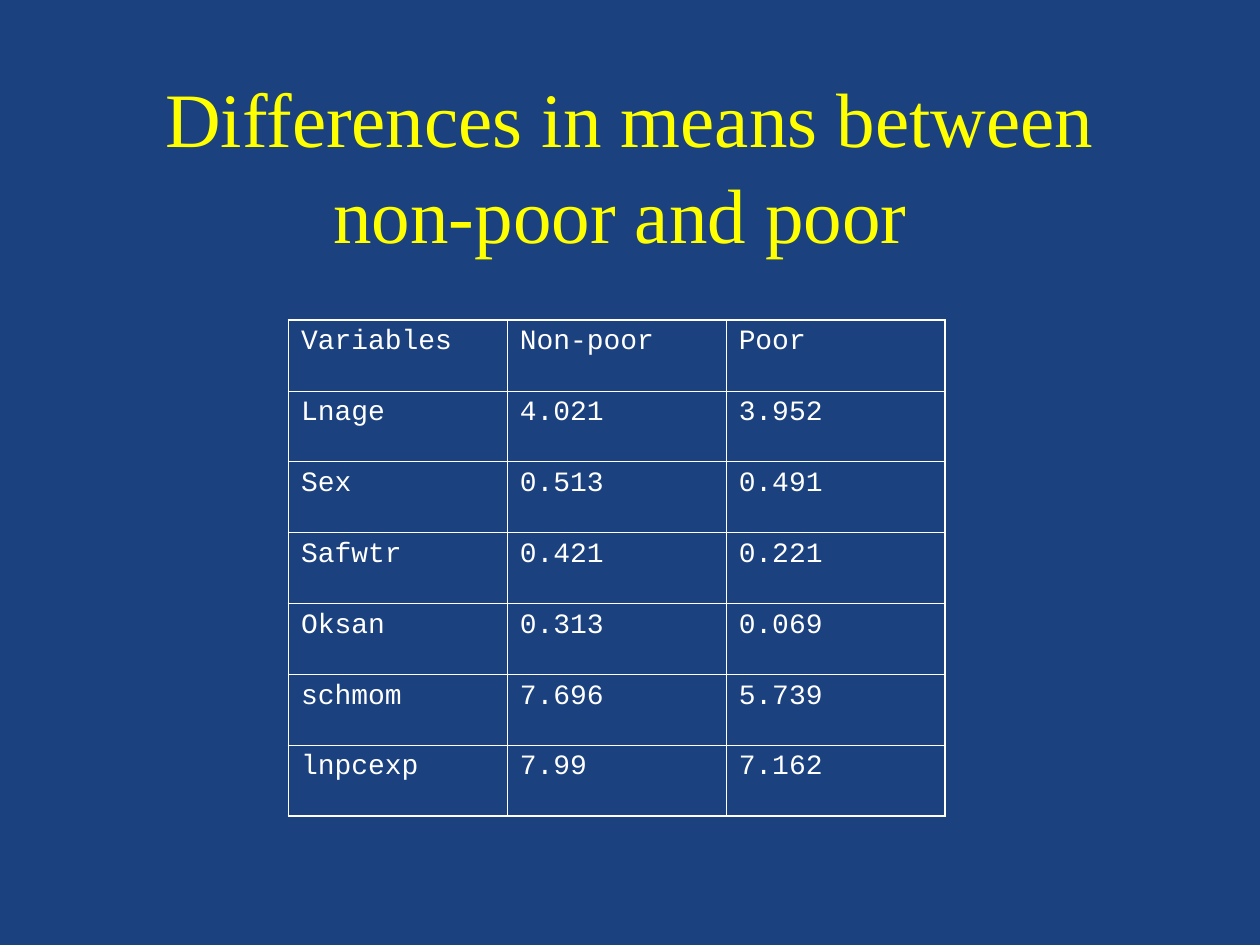
from lxml.etree import SubElement
from pptx import Presentation
from pptx.dml.color import RGBColor
from pptx.enum.text import MSO_ANCHOR as Anchor, PP_ALIGN as Align
from pptx.oxml.ns import qn
from pptx.util import Inches, Pt


def color(value):
    return RGBColor.from_string(value)


def add_border(cell, side, width):
    line = SubElement(cell._tc.get_or_add_tcPr(), qn(f"a:ln{side}"), w=str(Pt(width)))
    fill = SubElement(line, qn("a:solidFill"))
    SubElement(fill, qn("a:srgbClr"), val="FFFFFF")


deck = Presentation()
deck.slide_width, deck.slide_height = Inches(10), Inches(7.5)
page = deck.slides.add_slide(deck.slide_layouts[6])
page.background.fill.solid()
page.background.fill.fore_color.rgb = color("1B417F")

title = page.shapes.add_textbox(Inches(0.75), Inches(0.67), Inches(8.5), Inches(1.25))
frame = title.text_frame
frame.word_wrap = True
frame.vertical_anchor = Anchor.MIDDLE
frame.text = "Differences in means between non-poor and poor "
para = frame.paragraphs[0]
para.alignment = Align.CENTER
para.line_spacing = 1.04
span = para.runs[0]
span.font.name = "Times New Roman"
span.font.size = Pt(44)
span.font.color.rgb = color("FFFF00")

means = [
    ("Variables", "Non-poor", "Poor"),
    ("Lnage", "4.021", "3.952"),
    ("Sex", "0.513", "0.491"),
    ("Safwtr", "0.421", "0.221"),
    ("Oksan", "0.313", "0.069"),
    ("schmom", "7.696", "5.739"),
    ("lnpcexp", "7.99", "7.162"),
]
last_row, last_column = len(means) - 1, len(means[0]) - 1
table = page.shapes.add_table(
    len(means), len(means[0]), Inches(2.29), Inches(2.54), Inches(5.21), Inches(3.94)
).table
table.first_row = False
table.horz_banding = False

for row, values in enumerate(means):
    for column, value in enumerate(values):
        cell = table.cell(row, column)
        cell.text = value
        para = cell.text_frame.paragraphs[0]
        para.space_before = Pt(4)
        span = para.runs[0]
        span.font.name = "Courier New"
        span.font.size = Pt(16)
        span.font.color.rgb = color("FFFFFF")
        outer_sides = {
            "L": column == 0,
            "R": column == last_column,
            "T": row == 0,
            "B": row == last_row,
        }
        for side, outer in outer_sides.items():
            add_border(cell, side, 1.08 if outer else 0.45)
        cell.fill.background()

deck.save("out.pptx")
